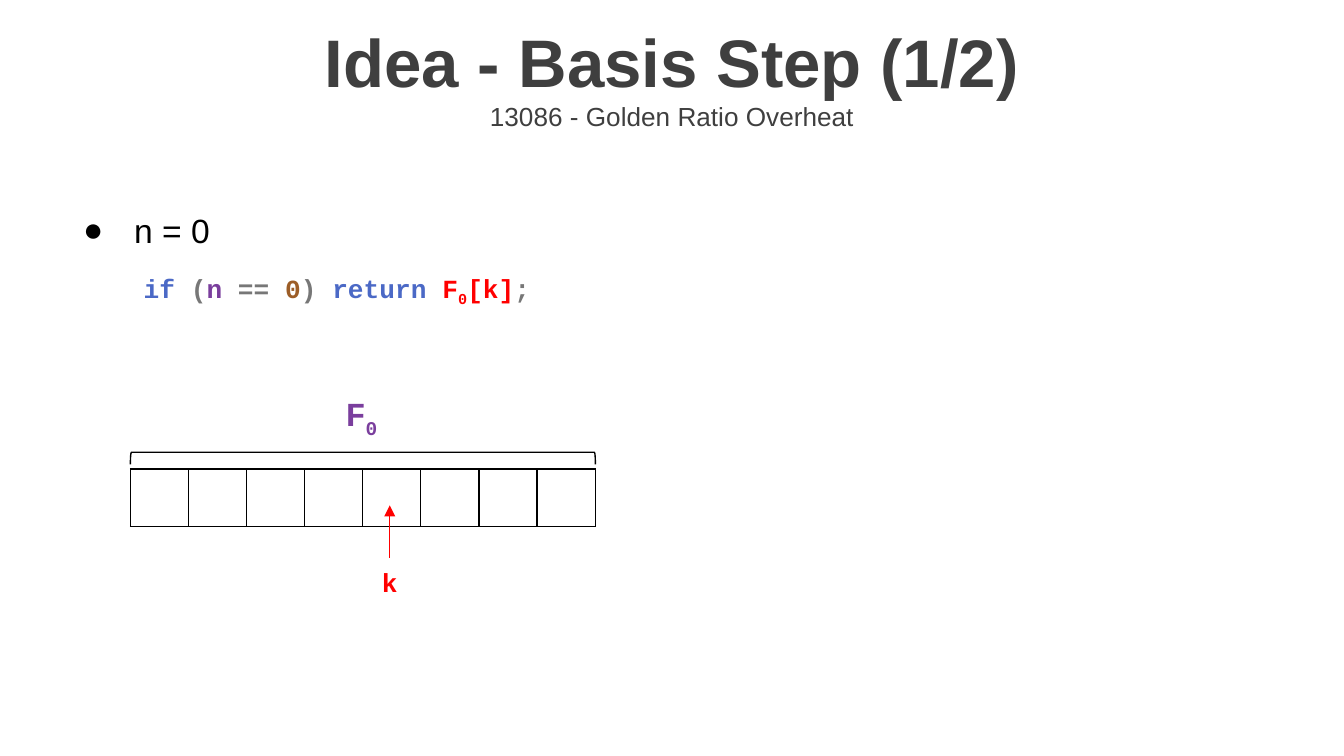
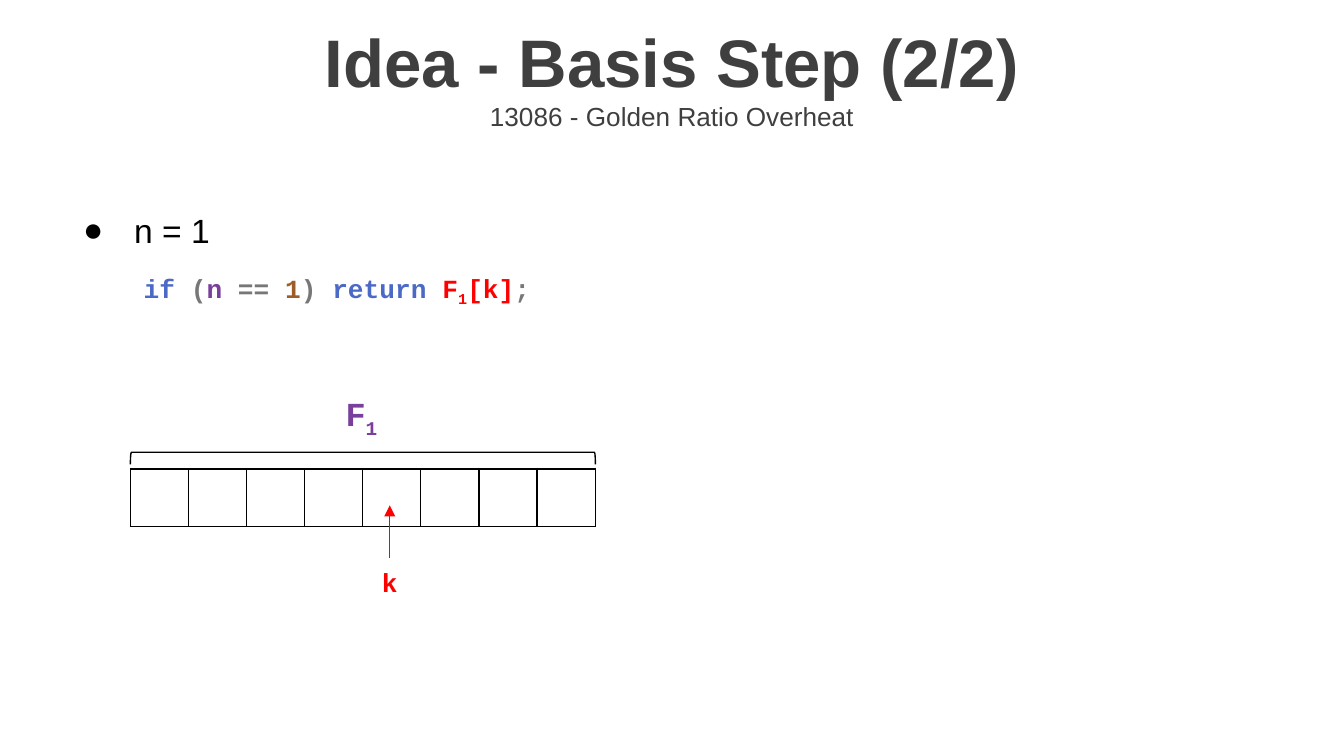
"""Build two slides on the basis steps of the Golden Ratio Overheat problem."""
from lxml.etree import SubElement
from pptx import Presentation
from pptx.dml.color import RGBColor
from pptx.enum.shapes import MSO_CONNECTOR, MSO_SHAPE
from pptx.enum.text import MSO_ANCHOR, PP_ALIGN
from pptx.oxml.ns import qn
from pptx.util import Inches, Pt

COLORS = {
    "title": "3F3F3F",
    "ink": "000000",
    "keyword": "4B69C6",
    "punct": "777777",
    "name": "7A3E9D",
    "number": "9C5D27",
    "accent": "FF0000",
}
SANS, MONO = "Arial", "Courier New"
CELLS = 8
ARRAY_LEFT, ARRAY_TOP, ARRAY_WIDTH, ARRAY_HEIGHT = 0.97, 3.49, 3.46, 0.43
BRACKET_DEPTH, BRACKET_MIDDLE = 0.09, 3.41
ARROW_X = 2.9


def rgb(key):
    return RGBColor.from_string(COLORS[key])


def add_text(s, box, runs, size, font, bold=False, align=PP_ALIGN.CENTER,
             anchor=MSO_ANCHOR.MIDDLE, inset=0.1):
    tf = s.shapes.add_textbox(*map(Inches, box)).text_frame
    tf.word_wrap = True
    tf.vertical_anchor = anchor
    tf.margin_left = tf.margin_right = Inches(0.1)
    tf.margin_top = tf.margin_bottom = Inches(inset)
    p = tf.paragraphs[0]
    p.alignment = align
    for text, color, *subscript in runs:
        r = p.add_run()
        r.text = text
        r.font.size = Pt(size)
        r.font.name = font
        r.font.bold = bold
        r.font.color.rgb = rgb(color)
        if subscript:
            r.font._element.set("baseline", "-25000")
    return p


prs = Presentation()
prs.slide_width, prs.slide_height = Inches(10), Inches(10 * 9 / 16)

for step, n in enumerate("01", start=1):
    s = prs.slides.add_slide(prs.slide_layouts[6])

    add_text(s, (0, 0.14, 10, 0.63), [(f"Idea - Basis Step ({step}/2)", "title")],
             36, SANS, bold=True, inset=0.05)
    add_text(s, (0, 0.71, 10, 0.31), [("13086 - Golden Ratio Overheat", "title")],
             14, SANS, inset=0.05)

    p = add_text(s, (0.4, 1.31, 4.59, 4.12), [(f"n = {n}", "ink")], 18, SANS,
                 align=PP_ALIGN.LEFT, anchor=MSO_ANCHOR.TOP)
    p.line_spacing = 1.5
    pPr = p._p.get_or_add_pPr()
    pPr.set("marL", str(Inches(0.5)))
    pPr.set("indent", str(Inches(-0.38)))
    SubElement(SubElement(pPr, qn("a:buClr")), qn("a:srgbClr"), val=COLORS["ink"])
    SubElement(pPr, qn("a:buFont"), typeface=SANS)
    SubElement(pPr, qn("a:buChar"), char="●")

    table = s.shapes.add_table(1, CELLS, Inches(ARRAY_LEFT), Inches(ARRAY_TOP),
                               Inches(ARRAY_WIDTH), Inches(ARRAY_HEIGHT)).table
    table.first_row = table.horz_banding = False
    for cell in table.iter_cells():
        tcPr = cell._tc.get_or_add_tcPr()
        for side in ("lnL", "lnR", "lnT", "lnB"):
            ln = SubElement(tcPr, qn(f"a:{side}"), w=str(Pt(0.75)))
            SubElement(SubElement(ln, qn("a:solidFill")), qn("a:srgbClr"),
                       val=COLORS["ink"])
        cell.fill.background()

    sp = s.shapes.add_shape(
        MSO_SHAPE.LEFT_BRACKET,
        Inches(ARRAY_LEFT + (ARRAY_WIDTH - BRACKET_DEPTH) / 2),
        Inches(BRACKET_MIDDLE - ARRAY_WIDTH / 2),
        Inches(BRACKET_DEPTH), Inches(ARRAY_WIDTH))
    sp.rotation = 90
    sp.adjustments[0] = 0.08
    sp.shadow.inherit = False
    sp.fill.background()
    sp.line.color.rgb = rgb("ink")
    sp.line.width = Pt(0.75)

    add_text(s, (0.96, 2.94, ARRAY_WIDTH, 0.31),
             [("F", "name"), (n, "name", True)], 18, MONO, bold=True)
    add_text(s, (ARROW_X - 0.63, 4.24, 1.26, 0.18), [("k", "accent")],
             14, MONO, bold=True)

    arrow = s.shapes.add_connector(MSO_CONNECTOR.STRAIGHT, Inches(ARROW_X), Inches(4.15),
                                   Inches(ARROW_X), Inches(3.76))
    arrow.line.color.rgb = rgb("accent")
    arrow.line.width = Pt(0.75)
    SubElement(arrow.line._get_or_add_ln(), qn("a:tailEnd"), type="triangle")
    SubElement(arrow._element.spPr, qn("a:effectLst"))

    code = [
        ("if ", "keyword"), ("(", "punct"), ("n ", "name"), ("== ", "punct"),
        (n, "number"), (") ", "punct"), ("return ", "keyword"), ("F", "accent"),
        (n, "accent", True), ("[k]", "accent"), (";", "punct"),
    ]
    p = add_text(s, (ARRAY_LEFT, 1.83, 3.98, 0.31), code, 14, MONO, bold=True,
                 align=PP_ALIGN.LEFT, anchor=MSO_ANCHOR.TOP)
    p.line_spacing = 1.36

prs.save("out.pptx")
